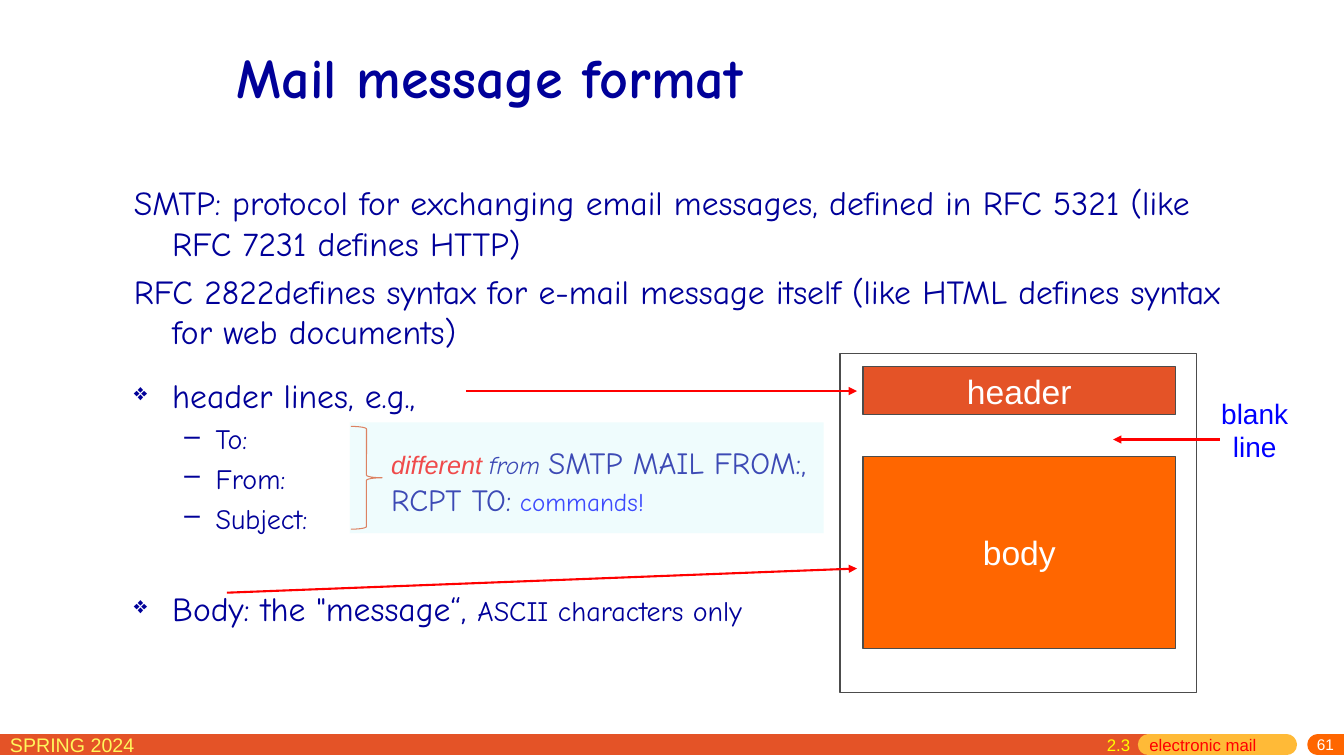
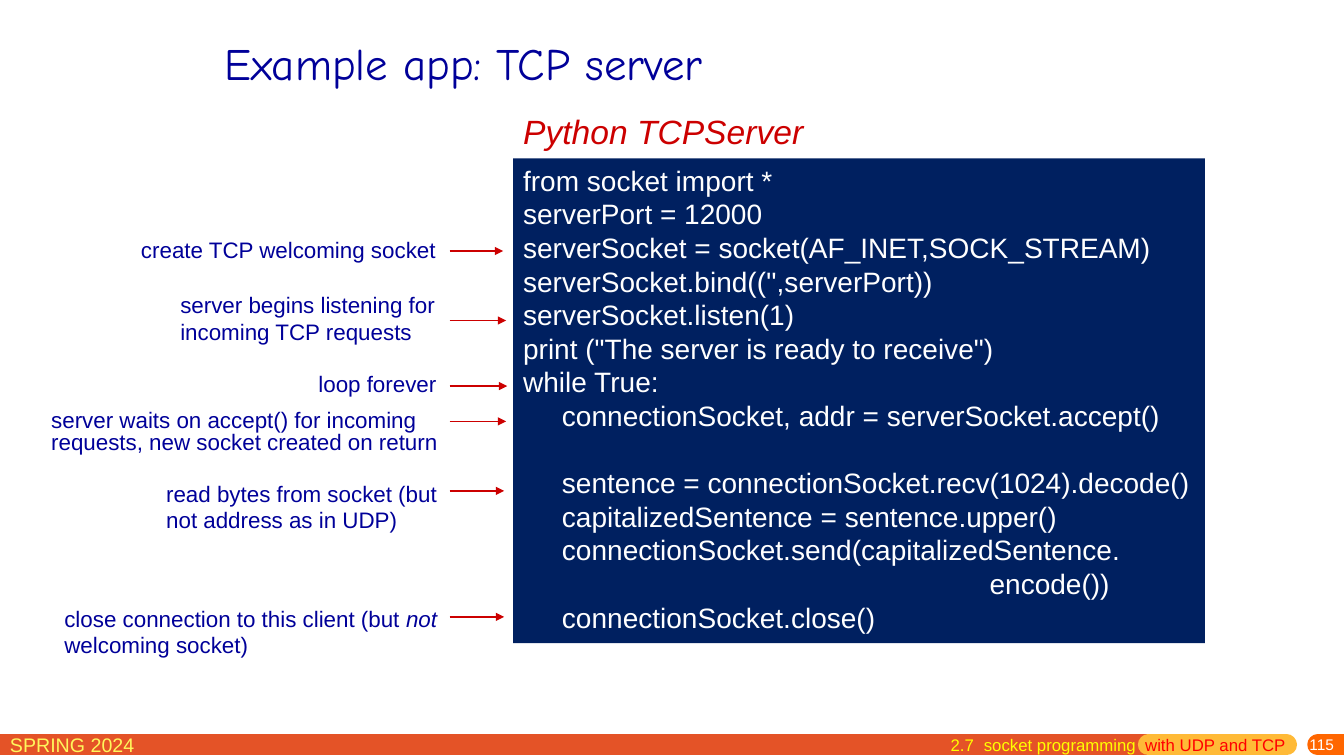
from dataclasses import dataclass, field
from typing import Any

from lxml import etree
from pptx import Presentation
from pptx import util as u
from pptx.dml.color import RGBColor
from pptx.enum import shapes as sh, text as tx
from pptx.oxml.ns import qn

PX = 9144  # EMU in one px, 100 px to the inch
NAVY, RED, BLUE, WHITE = "000099", "FF0000", "0000FF", "FFFFFF"
BAND, GOLD, ORANGE, GREY = "E45327", "FFBA37", "FF6600", "4C4C4C"
CRIMSON, YELLOW = "CC0000", "FFFF00"
SANS, COMIC = "Arial", "Comic Neue"
MID, TOP = tx.MSO_ANCHOR.MIDDLE, tx.MSO_ANCHOR.TOP
MIDDLE, RIGHT = tx.PP_ALIGN.CENTER, tx.PP_ALIGN.RIGHT
RECT = sh.MSO_SHAPE.RECTANGLE

Box = tuple[int, int, int, int]
Style = dict[str, Any]


def style(size: float, hue: str, name: str = SANS, **more: Any) -> Style:
    return {"size": u.Pt(size), "hue": hue, "name": name, **more}


@dataclass
class Para:
    """One paragraph: its runs, each with changes to the base style."""
    runs: list[tuple[str, Style]]
    left: int = 0
    hang: int = 0
    bullet: str = ""
    scale: int = 100
    tabs: tuple[int, ...] = ()
    form: Style = field(default_factory=dict)


@dataclass
class Note:
    """A remark on the code, with an arrow to its line."""
    box: Box
    runs: list[tuple[str, Style]]
    tip: tuple[int, int]
    form: Style = field(default_factory=dict)


def px(n: int) -> u.Emu:
    return u.Emu(n * PX)


def rgb(hue: str) -> RGBColor:
    return RGBColor.from_string(hue)


def child(node: Any, tag: str, **attrs: Any) -> Any:
    return etree.SubElement(node, qn(tag), {k: str(v) for k, v in attrs.items()})


# Text

def plain(*lines: str, **form: Any) -> list[Para]:
    return [Para([(line, {})], form=form) for line in lines]


def write(frame: Any, paras: list[Para], base: Style) -> None:
    for i, para in enumerate(paras):
        p = frame.paragraphs[0] if i == 0 else frame.add_paragraph()
        props = p._p.get_or_add_pPr()
        if para.left:
            props.set("marL", str(px(para.left)))
            props.set("indent", str(px(-para.hang)))
        if para.bullet:
            child(props, "a:buSzPct", val=para.scale * 1000)
            child(props, "a:buChar", char=para.bullet)
        if para.tabs:
            stops = child(props, "a:tabLst")
            for stop in para.tabs:
                child(stops, "a:tab", pos=px(stop), algn="l")
        for key, val in para.form.items():
            setattr(p, key, val)
        for words, extra in para.runs:
            run = p.add_run()
            run.text = words
            for key, val in (base | extra).items():
                if key == "hue":
                    run.font.color.rgb = rgb(val)
                else:
                    setattr(run.font, key, val)


def label(slide: Any, box: Box, paras: list[Para], base: Style,
          anchor: Any = TOP) -> Any:
    frame = slide.shapes.add_textbox(*map(px, box)).text_frame
    frame.word_wrap = True
    frame.vertical_anchor = anchor
    write(frame, paras, base)
    return frame


# Shapes and lines

def block(slide: Any, box: Box, fill: str = "", edge: str = "",
          width: float = 0.75, kind: Any = RECT) -> Any:
    shape = slide.shapes.add_shape(kind, *map(px, box))
    shape.shadow.inherit = False
    if fill:
        shape.fill.solid()
        shape.fill.fore_color.rgb = rgb(fill)
    else:
        shape.fill.background()
    if edge:
        shape.line.color.rgb = rgb(edge)
        shape.line.width = u.Pt(width)
    else:
        shape.line.fill.background()
    return shape


def line(slide: Any, ends: Box, hue: str, width: float,
         head: bool = False, cap: str = "flat") -> None:
    link = slide.shapes.add_connector(sh.MSO_CONNECTOR.STRAIGHT, *map(px, ends))
    link.line.color.rgb = rgb(hue)
    link.line.width = u.Pt(width)
    pen = link.line._get_or_add_ln()
    pen.set("cap", cap)
    if head:
        child(pen, "a:tailEnd", type="triangle")
    child(link._element.spPr, "a:effectLst")


# Parts shared by the slides

def base(deck: Any, title: str, box: Box, look: Style, page: str,
         foot: Para, left: int) -> Any:
    slide = deck.slides.add_slide(deck.slide_layouts[6])
    for start, end, hue, cap in ((0, 1139, BAND, "flat"),
                                 (1139, 1276, GOLD, "rnd"),
                                 (1307, 1333, ORANGE, "rnd")):
        line(slide, (start, 739, end, 739), hue, 15, cap=cap)
    label(slide, (0, 722, 229, 28), plain("SPRING 2024"), style(14, "FFF65C"))
    num = label(slide, (1075, 732, 258, 18), plain(page, alignment=RIGHT),
                style(11, WHITE), MID)
    num.margin_top, num.margin_bottom = 0, px(5)
    label(slide, (left, 724, 1300 - left, 26), [foot], style(12, YELLOW))
    label(slide, box, plain(title), look, MID)
    return slide


# Slide: mail message format

def mail(deck: Any) -> None:
    foot = Para([("2.3\t", {}), ("electronic mail", {"hue": RED})], tabs=(42,))
    slide = base(deck, "Mail message format", (225, 13, 850, 125),
                 style(40, NAVY, COMIC, bold=True), "61", foot, 1088)
    big = style(24, NAVY, COMIC)
    small = {"size": u.Pt(20)}

    # Header and body points
    points = [Para([("header lines, e.g.,", {})], 38, 38, "❖", 70)]
    points += [Para([(name, small)], 81, 31, "–",
                    form={"space_before": u.Pt(4.5)})
               for name in ("To:", "From:", "Subject:")]
    points.append(Para([('Body: the "message“, ', {}),
                        ("ASCII characters only", small)], 38, 38, "❖", 70,
                       form={"space_before": u.Pt(38)}))
    label(slide, (123, 367, 688, 302), points, big)

    # Message diagram
    for name, box, hue in (("header", (856, 364, 310, 47), BAND),
                           ("body", (856, 453, 310, 190), ORANGE)):
        part = block(slide, box, hue, GREY).text_frame
        part.vertical_anchor = MID
        write(part, plain(name, alignment=MIDDLE), style(24, WHITE))
    block(slide, (833, 351, 354, 336), edge=GREY, width=1)
    for ends in ((462, 388, 850, 388), (225, 588, 850, 564),
                 (1210, 436, 1104, 436)):
        line(slide, ends, RED, 1.5, head=True)
    label(slide, (1191, 388, 107, 77), plain("blank", "line", alignment=MIDDLE),
          style(20, BLUE))

    # Standards
    label(slide, (123, 176, 1118, 185), [
        Para([("SMTP: protocol for exchanging email messages, defined in "
               "RFC 5321 (like RFC 7231 defines HTTP)", {})], 38, 38),
        Para([("RFC 2822defines syntax for e-mail message itself (like HTML "
               "defines syntax for web documents)", {})], 38, 38,
             form={"space_before": u.Pt(5.5)})], big)

    # Remark on the commands, under a pale veil
    label(slide, (378, 435, 455, 84), [Para([
        ("different ", {"hue": RED, "name": SANS, "italic": True}),
        ("from ", {"italic": True}),
        ("SMTP MAIL FROM:, RCPT TO:", {"size": u.Pt(22)}),
        (" ", {}),
        ("commands!", {"hue": BLUE})])], style(18, NAVY, COMIC))
    block(slide, (348, 423, 31, 102), edge="E44F22",
          kind=sh.MSO_SHAPE.RIGHT_BRACE)
    veil = block(slide, (347, 419, 470, 110), "CCF8F9")
    tint = veil._element.spPr.find(qn("a:solidFill"))[0]
    child(tint, "a:alpha", val=30000)


# Slide: TCP server

CODE = """\
from socket import *
serverPort = 12000
serverSocket = socket(AF_INET,SOCK_STREAM)
serverSocket.bind(('',serverPort))
serverSocket.listen(1)
print ("The server is ready to receive")
while True:
     connectionSocket, addr = serverSocket.accept()
     
     sentence = connectionSocket.recv(1024).decode()
     capitalizedSentence = sentence.upper()
     connectionSocket.send(capitalizedSentence.
                                                            encode())
     connectionSocket.close()"""

TIGHT = {"line_spacing": u.Pt(16)}
NOTES = [
    Note((130, 229, 335, 37), [("create TCP welcoming socket", {})], (499, 249)),
    Note((169, 284, 314, 64),
         [("server begins listening for incoming TCP requests", {})], (502, 318)),
    Note((306, 367, 203, 33), [("loop forever", {})], (503, 383), TIGHT),
    Note((41, 402, 420, 55), [("server waits on accept() for incoming requests, "
                               "new socket created on return", {})],
         (502, 418), TIGHT),
    Note((155, 471, 300, 64),
         [("read bytes from socket (but not address as in UDP)", {})], (500, 487)),
    Note((54, 595, 427, 64),
         [("close connection to this client (but ", {}),
          ("not", {"italic": True}), (" welcoming socket)", {})], (500, 612)),
]


def server(deck: Any) -> None:
    foot = Para([("2.7\tsocket programming\t", {}),
                 ("with UDP and TCP", {"hue": RED})], tabs=(33, 193))
    slide = base(deck, "Example app: TCP server", (213, 10, 850, 104),
                 style(32, NAVY, COMIC), "115", foot, 933)

    # Code panel
    panel = block(slide, (509, 157, 686, 481), "002060").text_frame
    panel.vertical_anchor = TOP
    panel.margin_right = 0
    write(panel, plain(*CODE.split("\n"), alignment=tx.PP_ALIGN.LEFT),
          style(20, WHITE))
    label(slide, (509, 105, 309, 51), plain("Python TCPServer"),
          style(24, CRIMSON, italic=True))

    # Remarks with arrows
    for note in NOTES:
        label(slide, note.box, [Para(note.runs, form=note.form)],
              style(16, NAVY))
        x, y = note.tip
        line(slide, (446, y, x, y), CRIMSON, 1, head=True)


def main() -> None:
    deck = Presentation()
    deck.slide_width, deck.slide_height = px(1333), px(750)
    mail(deck)
    server(deck)
    deck.save("out.pptx")


if __name__ == "__main__":
    main()
